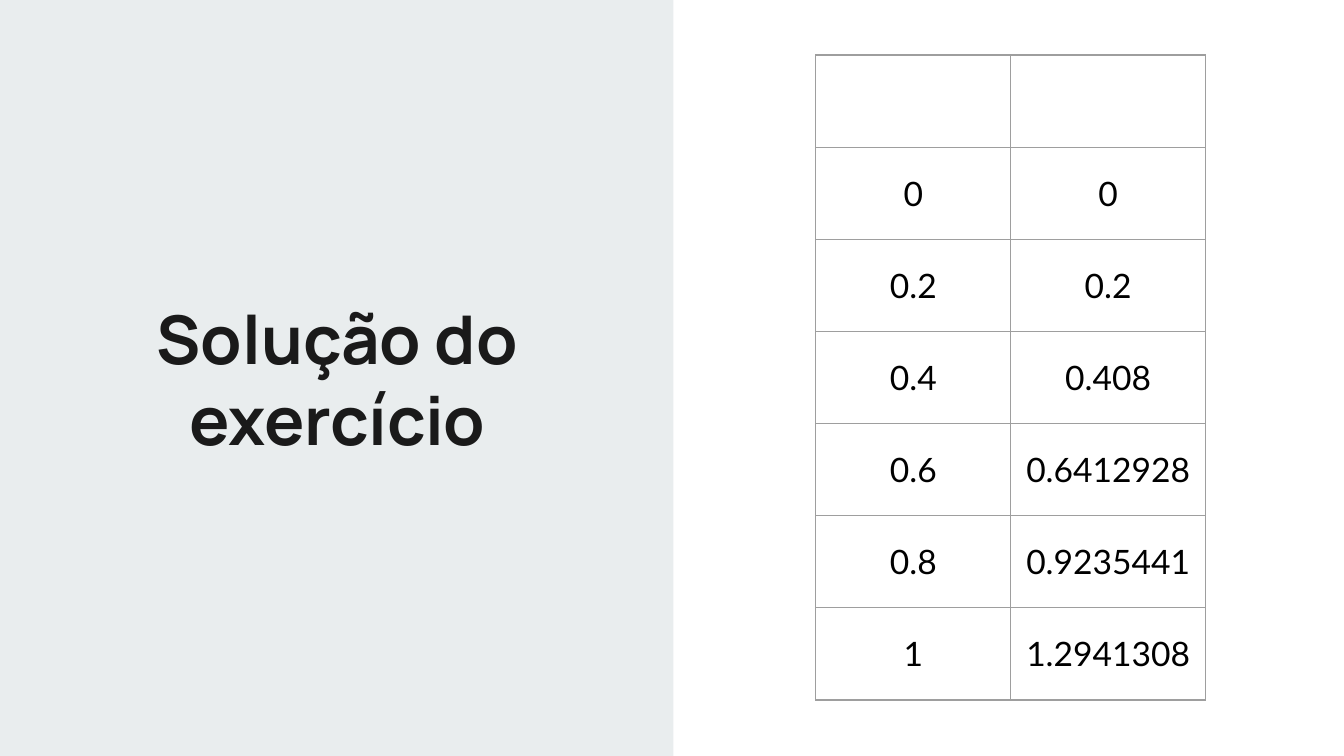
"""Build the exercise solution slide with a title panel and a table of values."""
from dataclasses import dataclass

import lxml.etree
import pptx
import pptx.dml.color
import pptx.enum.shapes
import pptx.enum.text
import pptx.oxml.ns
import pptx.util

Inches = pptx.util.Inches
COLORS = {"panel": "E9EDEE", "title": "1A1A1A", "value": "000000", "border": "9E9E9E"}
SLIDE_WIDTH = Inches(10)
SLIDE_HEIGHT = Inches(10 * 9 / 16)
COLUMN_WIDTH = Inches(1.45)
TABLE_HEIGHT = Inches(4.8)
MARGIN = Inches(0.1)


@dataclass
class Row:
    x: str
    y: str


ROWS = [
    Row("", ""),
    Row("0", "0"),
    Row("0.2", "0.2"),
    Row("0.4", "0.408"),
    Row("0.6", "0.6412928"),
    Row("0.8", "0.9235441"),
    Row("1", "1.2941308"),
]


def color(name: str) -> pptx.dml.color.RGBColor:
    return pptx.dml.color.RGBColor.from_string(COLORS[name])


def write_text(text_frame, text: str, *, font: str, size: float, color_name: str,
               bold: bool = False) -> None:
    paragraph = text_frame.paragraphs[0]
    paragraph.alignment = pptx.enum.text.PP_ALIGN.CENTER
    run = paragraph.add_run()
    run.text = text
    run.font.name = font
    run.font.size = pptx.util.Pt(size)
    run.font.bold = bold
    run.font.color.rgb = color(color_name)


def set_margins(target) -> None:
    target.margin_left = target.margin_right = MARGIN
    target.margin_top = target.margin_bottom = MARGIN
    target.vertical_anchor = pptx.enum.text.MSO_ANCHOR.MIDDLE


def add_borders(cell) -> None:
    qualified = pptx.oxml.ns.qn
    properties = cell._tc.get_or_add_tcPr()
    for side in ("a:lnL", "a:lnR", "a:lnT", "a:lnB"):
        line = lxml.etree.SubElement(properties, qualified(side), w=str(pptx.util.Pt(0.75)))
        fill = lxml.etree.SubElement(line, qualified("a:solidFill"))
        lxml.etree.SubElement(fill, qualified("a:srgbClr"), val=COLORS["border"])


def add_panel(slide) -> None:
    panel = slide.shapes.add_shape(
        pptx.enum.shapes.MSO_SHAPE.RECTANGLE, 0, 0, Inches(5.01), SLIDE_HEIGHT)
    panel.shadow.inherit = False
    panel.fill.solid()
    panel.fill.fore_color.rgb = color("panel")
    panel.line.fill.background()


def add_title(slide) -> None:
    title = slide.shapes.add_textbox(Inches(0.4), Inches(0.61), Inches(4.22), Inches(4.41))
    title.text_frame.word_wrap = True
    set_margins(title.text_frame)
    write_text(title.text_frame, "Solução do exercício", font="Manrope", size=36,
               color_name="title", bold=True)


def add_value_table(slide, rows: list[Row]) -> None:
    table = slide.shapes.add_table(
        len(rows), 2, Inches(6.07), Inches(0.41), 2 * COLUMN_WIDTH, TABLE_HEIGHT).table
    table.first_row = False
    table.horz_banding = False
    for table_row, row in zip(table.rows, rows):
        for cell, text in zip(table_row.cells, (row.x, row.y)):
            set_margins(cell)
            add_borders(cell)
            cell.fill.background()
            if text:
                write_text(cell.text_frame, text, font="Lato", size=18, color_name="value")


def main() -> None:
    presentation = pptx.Presentation()
    presentation.slide_width = SLIDE_WIDTH
    presentation.slide_height = SLIDE_HEIGHT
    slide = presentation.slides.add_slide(presentation.slide_layouts[6])
    add_panel(slide)
    add_title(slide)
    add_value_table(slide, ROWS)
    presentation.save("out.pptx")


if __name__ == "__main__":
    main()
